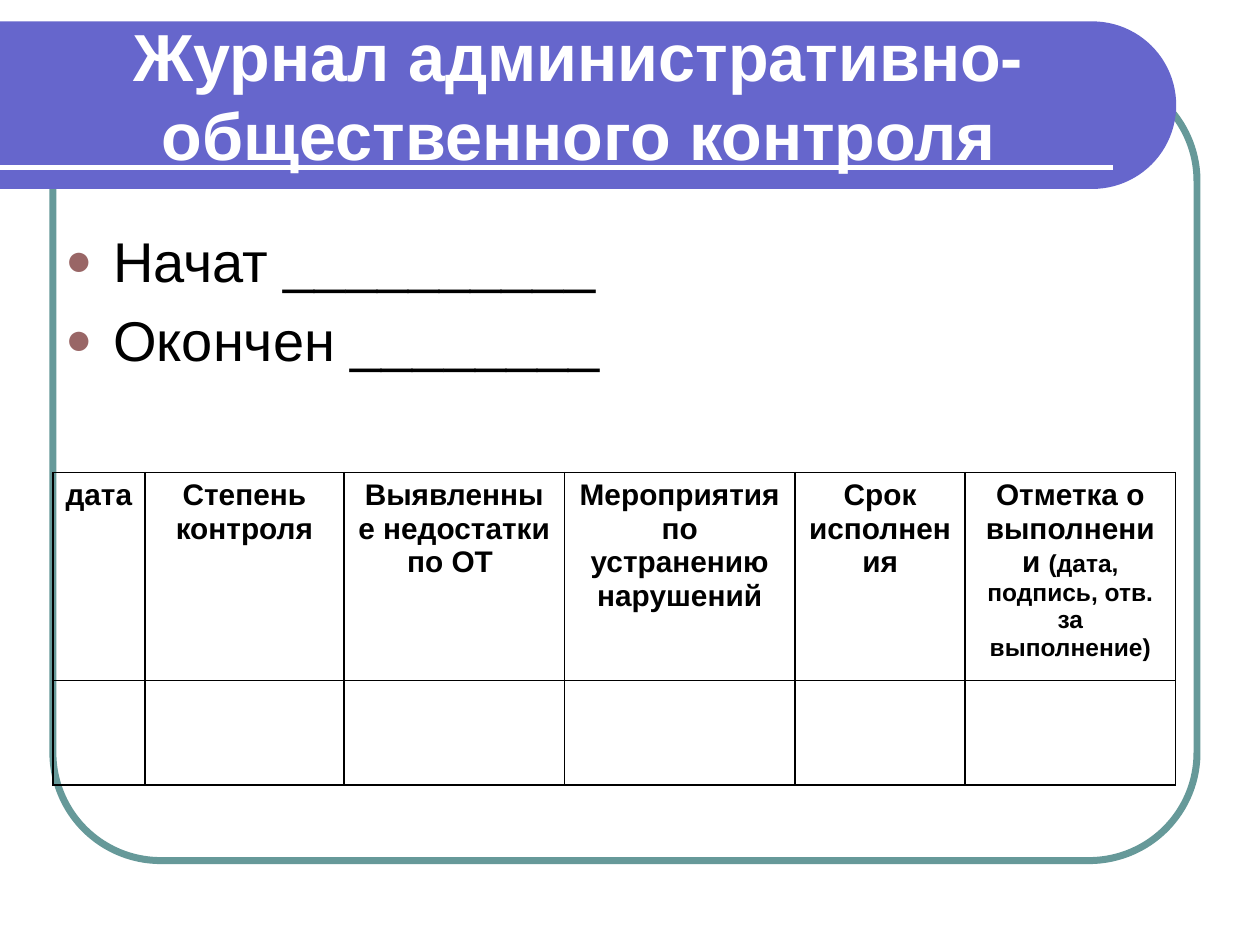
from dataclasses import dataclass
from math import cos, pi, sin

from lxml.etree import SubElement
from pptx import Presentation
from pptx.dml.color import RGBColor as RGB
from pptx.enum.shapes import MSO_CONNECTOR as Link, MSO_SHAPE as Shape
from pptx.enum.text import MSO_ANCHOR as Anchor, PP_ALIGN as Align
from pptx.oxml.ns import qn
from pptx.util import Inches, Pt

FONT = "Arial"
BLACK, WHITE = "000000", "FFFFFF"


@dataclass
class Column:
    """A table column: its width in inches, its heading and a smaller note."""

    width: float
    head: str
    note: str = ""


COLUMNS = [
    Column(0.73, "дата"),
    Column(1.58, "Степень контроля"),
    Column(1.75, "Выявленные недостатки по ОТ "),
    Column(1.83, "Мероприятия по устранению нарушений"),
    Column(1.35, "Срок исполнения"),
    Column(1.67, "Отметка о выполнении ", "(дата, подпись, отв. за выполнение)"),
]
ROWS = [1.65, 0.83]
ITEMS = ["Начат __________", "Окончен ________"]


def color(code: str) -> RGB:
    """Turn a hex string into a colour."""
    return RGB.from_string(code)


def style(run, size: float, code: str = BLACK, bold: bool = False) -> None:
    """Set the font of a run."""
    font = run.font
    font.name, font.size, font.bold = FONT, Pt(size), bold
    font.color.rgb = color(code)


def space(para) -> None:
    """Put a fifth of a line above a paragraph."""
    before = SubElement(para._p.get_or_add_pPr(), qn("a:spcBef"))
    SubElement(before, qn("a:spcPct"), val="20000")


def bullet(para) -> None:
    """Give a paragraph a round hanging bullet."""
    props = para._p.get_or_add_pPr()
    props.set("marL", str(Inches(0.38)))
    props.set("indent", str(-Inches(0.38)))
    tint = SubElement(props, qn("a:buClr"))
    SubElement(tint, qn("a:srgbClr"), val="996666")
    SubElement(props, qn("a:buSzPct"), val="80000")
    SubElement(props, qn("a:buFont"), typeface=FONT)
    SubElement(props, qn("a:buChar"), char="●")


def border(cell) -> None:
    """Leave a cell clear and rule its four sides in black."""
    props = cell._tc.get_or_add_tcPr()
    for side in ("lnL", "lnR", "lnT", "lnB"):
        line = SubElement(props, qn(f"a:{side}"), w=str(Pt(1)))
        fill = SubElement(line, qn("a:solidFill"))
        SubElement(fill, qn("a:srgbClr"), val=BLACK)
    cell.fill.background()


def draw_frame(shapes) -> None:
    """Draw the rounded frame, the banner and its white rule."""
    frame = shapes.add_shape(
        Shape.ROUNDED_RECTANGLE, Inches(0.42), Inches(0.58), Inches(9.08), Inches(6.25)
    )
    frame.adjustments[0] = 0.137
    frame.shadow.inherit = False
    frame.fill.background()
    frame.line.color.rgb = color("669999")
    frame.line.width = Pt(4)

    radius, steps = 0.665, 48
    turns = [pi * i / steps - pi / 2 for i in range(steps + 1)]
    arc = [
        (Inches(8.67 + radius * cos(t)), Inches(0.835 + radius * sin(t))) for t in turns
    ]
    path = shapes.build_freeform(0, Inches(0.17))
    path.add_line_segments(arc + [(0, Inches(1.5))], close=True)
    banner = path.convert_to_shape()
    banner.shadow.inherit = False
    banner.fill.solid()
    banner.fill.fore_color.rgb = color("6666CC")
    banner.line.fill.background()

    rule = shapes.add_connector(
        Link.STRAIGHT, 0, Inches(1.33), Inches(8.83), Inches(1.33)
    )
    rule.line.color.rgb = color(WHITE)
    rule.line.width = Pt(3)
    SubElement(rule._element.spPr, qn("a:effectLst"))


def draw_text(shapes) -> None:
    """Write the title and the bulleted lines."""
    box = shapes.add_textbox(Inches(0.21), Inches(0.25), Inches(8.77), Inches(1))
    frame = box.text_frame
    frame.word_wrap = True
    frame.vertical_anchor = Anchor.MIDDLE
    frame.text = "Журнал административно-общественного контроля"
    title = frame.paragraphs[0]
    title.alignment = Align.CENTER
    style(title.runs[0], 38, WHITE, True)

    box = shapes.add_textbox(Inches(0.42), Inches(1.75), Inches(8.92), Inches(4.83))
    frame = box.text_frame
    frame.word_wrap = True
    frame.text = "\n".join(ITEMS)
    for para in frame.paragraphs:
        space(para)
        bullet(para)
        style(para.runs[0], 32)


def draw_table(shapes) -> None:
    """Draw the journal table with its headings and one empty row."""
    width = sum(col.width for col in COLUMNS)
    table = shapes.add_table(
        len(ROWS), len(COLUMNS), Inches(0.42), Inches(3.75),
        Inches(width), Inches(sum(ROWS)),
    ).table
    table.first_row = table.horz_banding = False
    for row, height in zip(table.rows, ROWS):
        row.height = Inches(height)
    for i, col in enumerate(COLUMNS):
        table.columns[i].width = Inches(col.width)
        cell = table.cell(0, i)
        cell.text = col.head
        para = cell.text_frame.paragraphs[0]
        para.alignment = Align.CENTER
        space(para)
        style(para.runs[0], 17, bold=True)
        if col.note:
            note = para.add_run()
            note.text = col.note
            style(note, 14, bold=True)
    for cell in table.iter_cells():
        border(cell)


def main() -> None:
    """Build the slide and save it."""
    deck = Presentation()
    deck.slide_width, deck.slide_height = Inches(10), Inches(7.5)
    shapes = deck.slides.add_slide(deck.slide_layouts[6]).shapes
    draw_frame(shapes)
    draw_text(shapes)
    draw_table(shapes)
    deck.save("out.pptx")


if __name__ == "__main__":
    main()
